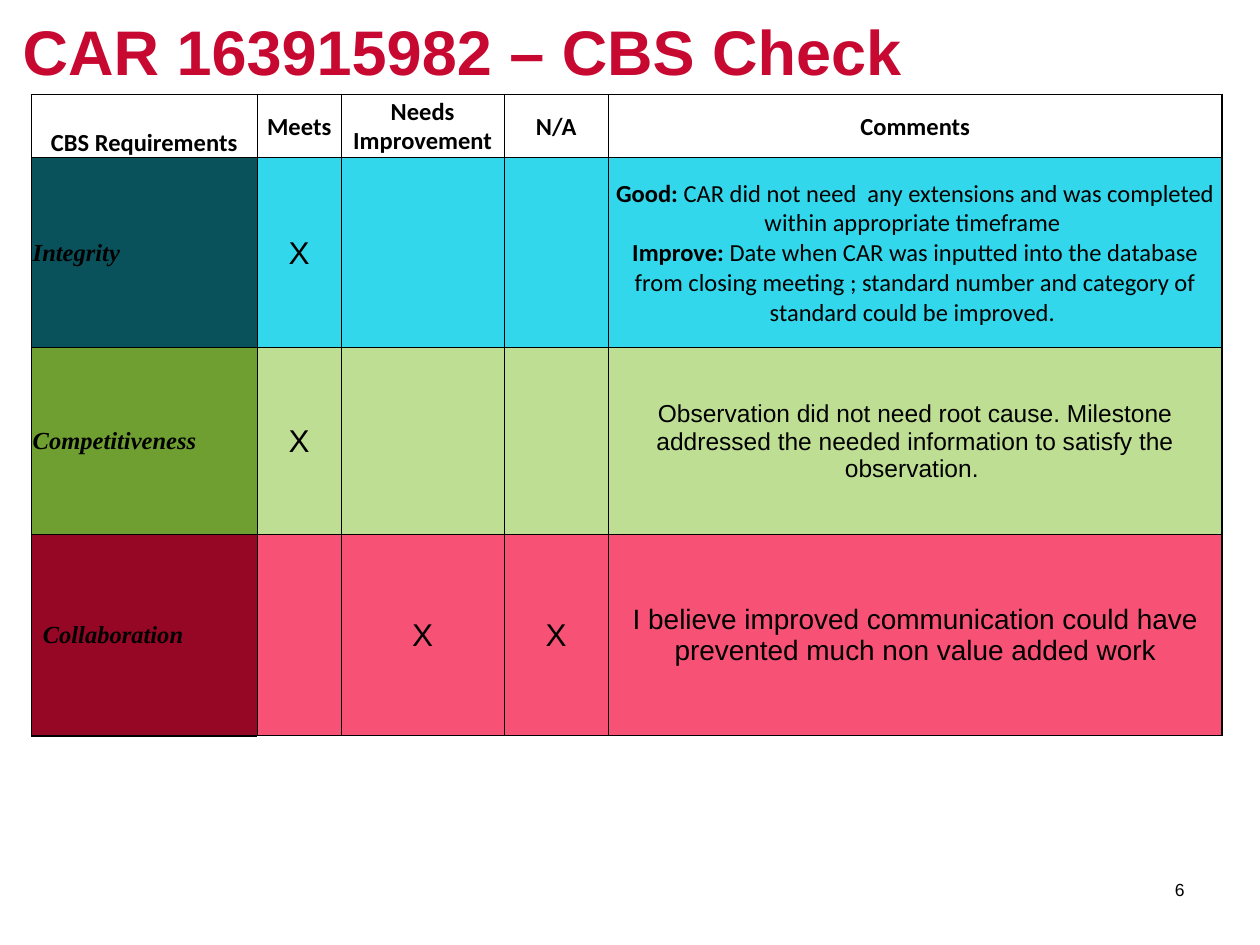
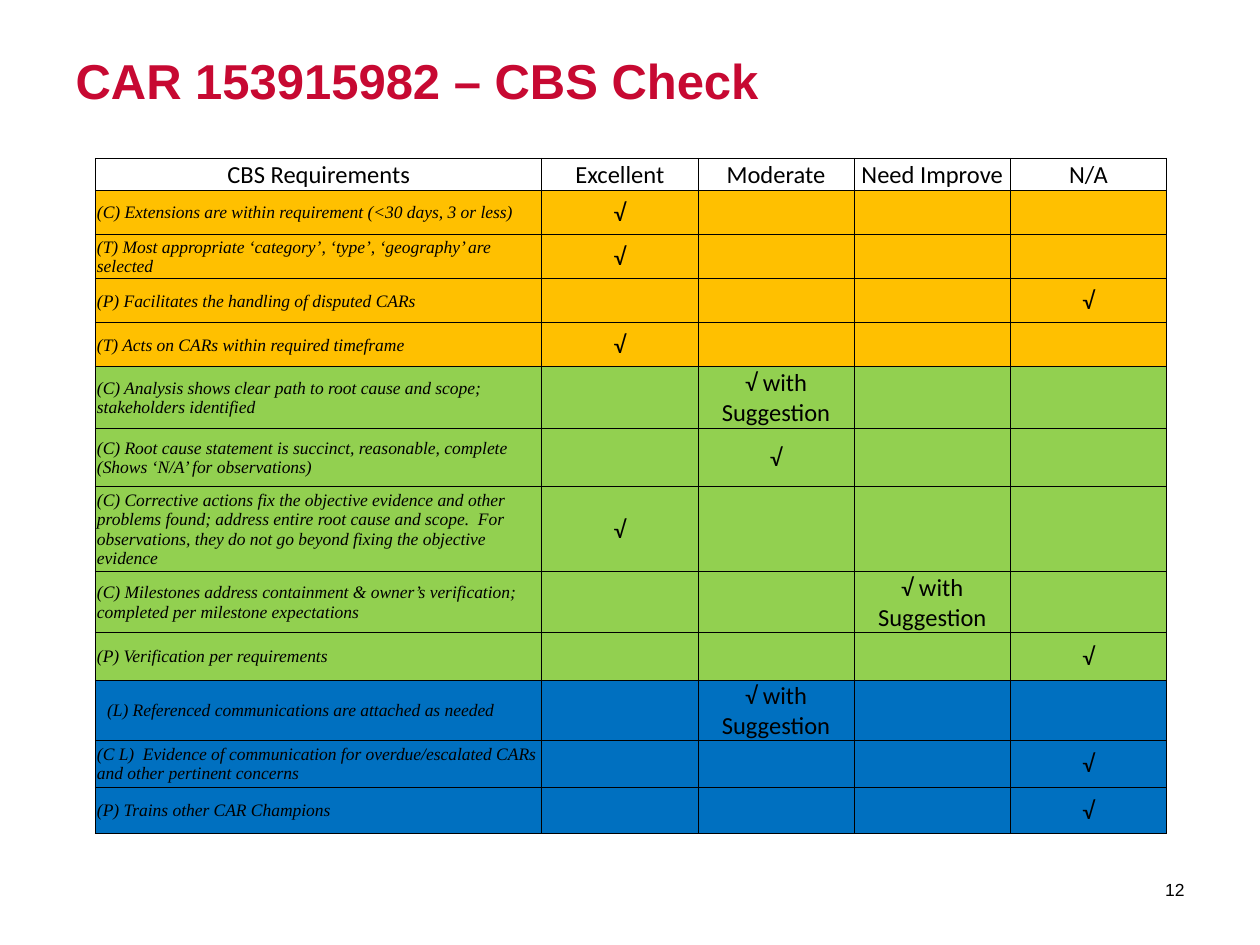
"""Build two CBS check slides, each with a title, a scored table and a page number."""
from pptx import Presentation
from pptx.dml.color import RGBColor
from pptx.enum.text import MSO_ANCHOR, MSO_AUTO_SIZE, PP_ALIGN
from pptx.oxml import parse_xml
from pptx.oxml.ns import nsdecls
from pptx.util import Inches, Pt

BLACK = RGBColor(0x00, 0x00, 0x00)
WHITE = RGBColor(0xFF, 0xFF, 0xFF)
CRIMSON = RGBColor(0xC7, 0x09, 0x32)
TEAL, CYAN = RGBColor(0x09, 0x52, 0x5C), RGBColor(0x32, 0xD7, 0xEB)
GREEN, PALE_GREEN = RGBColor(0x6F, 0x9F, 0x30), RGBColor(0xBE, 0xDF, 0x93)
MAROON, PINK = RGBColor(0x95, 0x07, 0x25), RGBColor(0xF7, 0x52, 0x75)
AMBER = RGBColor(0xFF, 0xC0, 0x00)
LIME = RGBColor(0x92, 0xD0, 0x50)
BLUE = RGBColor(0x00, 0x70, 0xC0)

# Each style is font, size, bold, italic.
TITLE_LARGE = ("Arial", 36, True, False)
TITLE_SMALL = ("Arial", 28, True, False)
PAGE_NUMBER = ("Arial", 10, False, False)
STRONG = ("Calibri", 14, True, False)
PLAIN = ("Calibri", 14, False, False)
VALUE = ("Times New Roman", 14, True, True)
MARK = ("Arial", 18, False, False)
REMARK = ("Arial", 14, False, False)
LARGE_REMARK = ("Arial", 16, False, False)
REQUIREMENT = ("Times New Roman", 10, False, True)

INSET, DEEP_INSET = 0.01, 0.09
THIN, THICK = 0.5, 1

VALUE_HEADINGS = ["CBS Requirements", "Meets", "Needs Improvement", "N/A", "Comments"]
VALUE_ROWS = [
    ("Integrity", INSET, TEAL, CYAN, [1], [
        [("Good: ", STRONG),
         ("CAR did not need  any extensions and was completed within appropriate timeframe ", PLAIN)],
        [("Improve: ", STRONG),
         ("Date when CAR was inputted into the database from closing meeting ; "
          "standard number and category of standard could be improved. ", PLAIN)]]),
    ("Competitiveness", INSET, GREEN, PALE_GREEN, [1], [
        [("Observation did not need root cause. Milestone addressed the needed "
          "information to satisfy the observation. ", REMARK)]]),
    ("Collaboration", DEEP_INSET, MAROON, PINK, [2, 3], [
        [("I believe improved communication could have prevented much non value added work",
          LARGE_REMARK)]]),
]

CHECK, SUGGESTION = "√", "√ with Suggestion"
RATING_HEADINGS = ["CBS Requirements", "Excellent", "Moderate", "Need Improve", "N/A"]
RATING_GROUPS = [
    (AMBER, [
        ("(C) Extensions are within requirement (<30 days, 3 or less)", INSET, 1, CHECK),
        ("(T) Most appropriate ‘category’, ‘type’, ‘geography’ are selected", INSET, 1, CHECK),
        ("(P) Facilitates the handling of disputed CARs", INSET, 4, CHECK),
        ("(T) Acts on CARs within required timeframe", INSET, 1, CHECK)]),
    (LIME, [
        ("(C) Analysis shows clear path to root cause and scope; stakeholders identified",
         INSET, 2, SUGGESTION),
        ("(C) Root cause statement is succinct, reasonable, complete "
         "(Shows ‘N/A’ for observations)", INSET, 2, CHECK),
        ("(C) Corrective actions fix the objective evidence and other problems found; "
         "address entire root cause and scope.  For observations, they do not go beyond "
         "fixing the objective evidence", INSET, 1, CHECK),
        ("(C) Milestones address containment & owner’s verification; "
         "completed per milestone expectations", INSET, 3, SUGGESTION),
        ("(P) Verification per requirements", INSET, 4, CHECK)]),
    (BLUE, [
        ("(L) Referenced communications are attached as needed", DEEP_INSET, 2, SUGGESTION),
        ("(C L)  Evidence of communication for overdue/escalated CARs "
         "and other pertinent concerns", INSET, 4, CHECK),
        ("(P) Trains other CAR Champions", INSET, 4, CHECK)]),
]

VALUE_COLUMNS = [1.79, 0.67, 1.29, 0.83, 4.87]
VALUE_HEIGHTS = [0.5, 1.51, 1.48, 1.6]
RATING_COLUMNS = [3.54] + [1.24] * 4
RATING_HEIGHTS = [0.25] + [0.35] * 4 + [0.49, 0.46, 0.67, 0.48, 0.38, 0.48, 0.37, 0.37]


def add_span(para, text, style, color=BLACK):
    """Append one styled run to a paragraph."""
    span = para.add_run()
    span.text = text
    font = span.font
    font.name, size, font.bold, font.italic = style
    font.size = Pt(size)
    font.color.rgb = color


def add_page(deck, title, frame, style, number):
    """Add a page with its title and page number."""
    page = deck.slides.add_slide(deck.slide_layouts[5])
    heading = page.shapes.title
    heading.left, heading.top, heading.width, heading.height = map(Inches, frame)
    text = heading.text_frame
    text.auto_size = MSO_AUTO_SIZE.NONE
    text.vertical_anchor = MSO_ANCHOR.TOP
    text.margin_top = Inches(0.1)
    text.paragraphs[0].alignment = PP_ALIGN.LEFT
    add_span(text.paragraphs[0], title, style, CRIMSON)

    box = page.shapes.add_textbox(Inches(8.8), Inches(6.86), Inches(0.7), Inches(0.4))
    box.text_frame.word_wrap = True
    box.text_frame.vertical_anchor = MSO_ANCHOR.MIDDLE
    box.text_frame.paragraphs[0].alignment = PP_ALIGN.RIGHT
    add_span(box.text_frame.paragraphs[0], number, PAGE_NUMBER)
    return page


def draw_borders(cell, widths):
    """Draw the left, right, top and bottom borders of a cell."""
    properties = cell._tc.get_or_add_tcPr()
    for side, width in zip("LRTB", widths):
        properties.append(parse_xml(
            f'<a:ln{side} {nsdecls("a")} w="{Pt(width)}"><a:solidFill>'
            f'<a:srgbClr val="{BLACK}"/></a:solidFill></a:ln{side}>'))


def fill_cell(cell, color, paragraphs=(), align=PP_ALIGN.CENTER,
              anchor=MSO_ANCHOR.MIDDLE, inset=INSET):
    """Colour a cell and write its paragraphs."""
    cell.fill.solid()
    cell.fill.fore_color.rgb = color
    cell.vertical_anchor = anchor
    cell.margin_left = Inches(inset)
    cell.margin_right = cell.margin_top = Inches(INSET)
    cell.margin_bottom = 0
    text = cell.text_frame
    for index, spans in enumerate(paragraphs):
        para = text.add_paragraph() if index else text.paragraphs[0]
        para.alignment = align
        for content, style in spans:
            add_span(para, content, style)


def add_grid(page, left, top, columns, heights, thick_bottoms):
    """Add a bordered table with a heavier outline."""
    frame = page.shapes.add_table(len(heights), len(columns), Inches(left), Inches(top),
                                  Inches(sum(columns)), Inches(sum(heights)))
    table = frame.table
    table.first_row = table.horz_banding = False
    for column, width in zip(table.columns, columns):
        column.width = Inches(width)
    for row, height in zip(table.rows, heights):
        row.height = Inches(height)
    last_row, last_column = len(heights) - 1, len(columns) - 1
    for r in range(len(heights)):
        for c in range(len(columns)):
            outer = (c == 0, c == last_column, r == 0, r == last_row and c < thick_bottoms)
            draw_borders(table.cell(r, c), [THICK if edge else THIN for edge in outer])
    return table


def fill_headings(table, headings, style, other_anchor):
    """Write the heading row, whose first cell sits at the bottom."""
    for c, heading in enumerate(headings):
        anchor = other_anchor if c else MSO_ANCHOR.BOTTOM
        fill_cell(table.cell(0, c), WHITE, [[(heading, style)]], anchor=anchor)


def build_value_page(deck):
    """Build the page that scores the three values."""
    page = add_page(deck, "CAR 163915982 – CBS Check", (0.08, 0, 9, 0.95), TITLE_LARGE, "6")
    table = add_grid(page, 0.25, 0.75, VALUE_COLUMNS, VALUE_HEIGHTS, thick_bottoms=1)
    fill_headings(table, VALUE_HEADINGS, STRONG, MSO_ANCHOR.MIDDLE)
    for r, (name, inset, dark, light, marks, comments) in enumerate(VALUE_ROWS, start=1):
        fill_cell(table.cell(r, 0), dark, [[(name, VALUE)]], PP_ALIGN.LEFT, inset=inset)
        for c in range(1, 4):
            fill_cell(table.cell(r, c), light, [[("X", MARK)]] if c in marks else [])
        fill_cell(table.cell(r, 4), light, comments)


def build_rating_page(deck):
    """Build the page that rates each requirement."""
    page = add_page(deck, "CAR 153915982 – CBS Check", (0.5, 0.3, 9, 1.25), TITLE_SMALL, "12")
    table = add_grid(page, 0.76, 1.26, RATING_COLUMNS, RATING_HEIGHTS, thick_bottoms=5)
    fill_headings(table, RATING_HEADINGS, PLAIN, MSO_ANCHOR.BOTTOM)
    rows = [(color, *row) for color, group in RATING_GROUPS for row in group]
    for r, (color, requirement, inset, rated, mark) in enumerate(rows, start=1):
        fill_cell(table.cell(r, 0), color, [[(requirement, REQUIREMENT)]],
                  PP_ALIGN.LEFT, inset=inset)
        for c in range(1, 5):
            fill_cell(table.cell(r, c), color, [[(mark, PLAIN)]] if c == rated else [])


def main():
    """Build and save the deck."""
    deck = Presentation()
    deck.slide_width, deck.slide_height = Inches(10), Inches(7.5)
    build_value_page(deck)
    build_rating_page(deck)
    deck.save("out.pptx")


if __name__ == "__main__":
    main()
